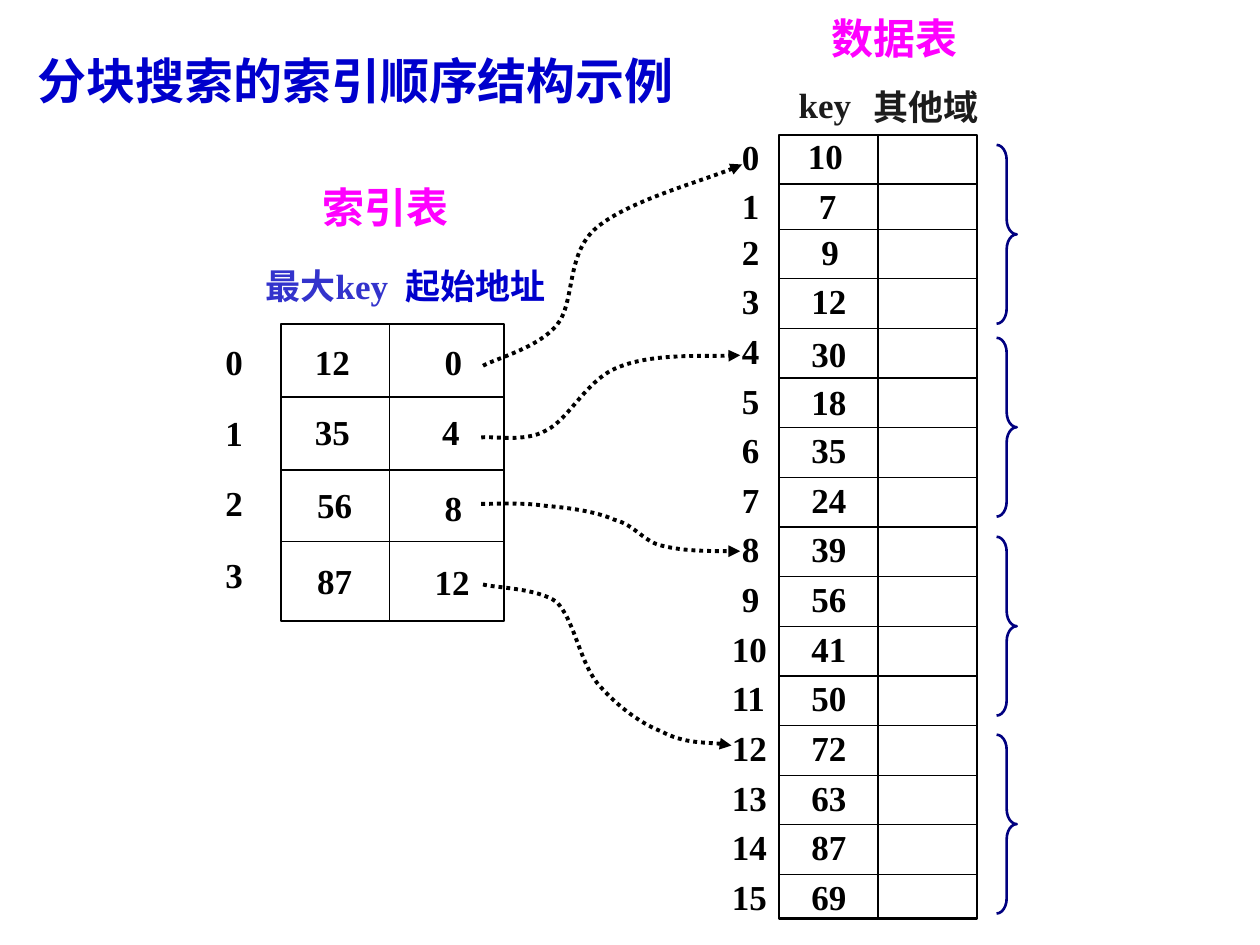
from lxml.etree import SubElement
from pptx import Presentation
from pptx.dml.color import RGBColor
from pptx.enum.dml import MSO_LINE_DASH_STYLE as Dash
from pptx.enum.shapes import MSO_CONNECTOR as Connector, MSO_SHAPE as Shape
from pptx.enum.text import MSO_ANCHOR as Anchor, MSO_AUTO_SIZE as AutoSize
from pptx.oxml.ns import qn
from pptx.util import Pt

BLACK, MAGENTA, BLUE, INDIGO, DARK, NAVY = (
    "000000", "FF00FF", "0000CC", "3333CC", "1C1C1C", "000080")
SERIF = "Times New Roman"

TITLE = "分块搜索的索引顺序结构示例"
DATA_HEADS = [("数据表", 468, 3.6, 96.5, 24, MAGENTA),
              ("key", 449.3, 43.9, 62.6, 20, DARK),
              ("其他域", 491.8, 45.4, 85, 20, DARK)]
INDEX_HEADS = [("索引表", 177.1, 100.1, 96.5, 24, MAGENTA),
               ("起始地址", 224.6, 147.6, 124.6, 20, BLUE),
               ("最大key", 144.7, 147.6, 124.6, 20, INDIGO)]

KEYS = [10, 7, 9, 12, 30, 18, 35, 24, 39, 56, 41, 50, 72, 63, 87, 69]
KEY_SHIFTS = {0: (-2, -0.6), 1: (4.3, 0), 2: (5.8, 0), 4: (0, 2), 5: (0, 1)}
DATA_LEFT, DATA_MIDDLE, DATA_RIGHT = 445, 501.8, 558.4
DATA_ROWS = [77, 105.1] + [131 + 28.36 * i for i in range(14)] + [524.9]

INDEX_LEFT, INDEX_MIDDLE, INDEX_RIGHT = 160.6, 222.5, 288
INDEX_ROWS = [185, 226.8, 268.6, 309.6, 355]
INDEX_CELLS = [
    [("0", 121.7, 190.8), ("12", 172.8, 190.8), ("0", 247, 190.8)],
    [("1", 121.7, 231.8), ("35", 172.8, 231.1), ("4", 245.5, 231.1)],
    [("2", 121.7, 271.4), ("56", 174.2, 272.9), ("8", 247, 274.3)],
    [("3", 121.7, 312.5), ("87", 174.2, 316.1), ("12", 241.2, 316.8)],
]

ARROWS = [
    [(276.5, 208.8), (283, 205.2), (307.4, 198.7), (318.2, 185.8), (329, 172.8),
     (323.3, 145.4), (340.6, 130.3), (358.6, 115.2), (406.8, 101.5), (424.1, 93.6)],
    [(275, 249.8), (280.8, 249.1), (299.5, 252.7), (312.5, 246.2), (325.4, 239.8),
     (334.8, 216.7), (352.8, 209.5), (371.5, 202.3), (408.2, 203.8), (422.6, 202.6)],
    [(275, 287.6), (280.8, 287.6), (298.1, 287.3), (311, 288.7), (323.3, 290.2),
     (339.8, 292.3), (351.4, 296.6), (362.9, 300.2), (367.9, 309.6), (379.4, 312.5),
     (391, 315.4), (413.3, 314.6), (422.6, 314.6)],
    [(275.8, 334.1), (283, 336.2), (306.7, 335.5), (317.5, 344.2), (328.3, 353.5),
     (331.2, 377.3), (341.3, 389.5), (351.4, 401.8), (365, 412.6), (378, 418.3),
     (391, 424.8), (410.4, 424.1), (418.3, 425.5)],
]
BRACE_TOPS = [82.8, 193, 306.7, 419.8]


def rgb(value):
    return RGBColor.from_string(value)


def set_line(sp, color, width):
    sp.line.color.rgb = rgb(color)
    sp.line.width = Pt(width)


def add_text(parent, text, x, y, w, size=20, color=BLACK, font=SERIF,
             h=None, anchor=Anchor.TOP):
    sp = parent.add_textbox(Pt(x), Pt(y), Pt(w), Pt(h or size * 1.2 + 7.2))
    tf = sp.text_frame
    for name, value in {"word_wrap": True, "vertical_anchor": anchor,
                        "auto_size": AutoSize.SHAPE_TO_FIT_TEXT}.items():
        setattr(tf, name, value)
    r = tf.paragraphs[0].add_run()
    r.text = text
    for name, value in {"name": font, "size": Pt(size), "bold": True}.items():
        setattr(r.font, name, value)
    r.font.color.rgb = rgb(color)


def add_outline(parent, kind, x, y, w, h, color, width):
    sp = parent.add_shape(kind, Pt(x), Pt(y), Pt(w), Pt(h))
    sp.shadow.inherit = False
    sp.fill.background()
    set_line(sp, color, width)
    return sp


def add_rule(parent, x1, y1, x2, y2):
    sp = parent.add_connector(Connector.STRAIGHT, Pt(x1), Pt(y1), Pt(x2), Pt(y2))
    set_line(sp, BLACK, 0.75)
    SubElement(sp._element.spPr, qn("a:effectLst"))


def add_grid(parent, left, middle, right, rows):
    top, bottom = rows[0], rows[-1]
    add_outline(parent, Shape.RECTANGLE, left, top, right - left, bottom - top,
                BLACK, 1.25)
    add_rule(parent, middle, top, middle, bottom)
    for y in rows[1:-1]:
        add_rule(parent, left, y, right, y)


def add_curved_arrow(parent, points):
    builder = parent.build_freeform(*points[0], scale=Pt(1))
    builder.add_line_segments(points[1:], close=False)
    sp = builder.convert_to_shape()
    sp.shadow.inherit = False
    sp.fill.background()
    set_line(sp, BLACK, 2.25)
    sp.line.dash_style = Dash.ROUND_DOT
    SubElement(sp.line._get_or_add_ln(), qn("a:tailEnd"), type="triangle")
    outline = sp._element.spPr.find(".//" + qn("a:path"))
    segments = outline.findall(qn("a:lnTo"))
    for i in range(0, len(segments), 3):
        curve = SubElement(outline, qn("a:cubicBezTo"))
        for segment in segments[i:i + 3]:
            curve.append(segment[0])
            outline.remove(segment)


def add_data_table(parent):
    add_grid(parent, DATA_LEFT, DATA_MIDDLE, DATA_RIGHT, DATA_ROWS)
    for head in DATA_HEADS:
        add_text(parent, *head)
    for i, (key, top) in enumerate(zip(KEYS, DATA_ROWS)):
        dx, dy = KEY_SHIFTS.get(i, (0, 0))
        add_text(parent, str(i), 416.9 if i < 10 else 411.1, top - 3, 42)
        add_text(parent, str(key), 456.5 + dx, top - 3 + dy, 39.6)


def add_index_table(parent):
    add_grid(parent, INDEX_LEFT, INDEX_MIDDLE, INDEX_RIGHT, INDEX_ROWS)
    for head in INDEX_HEADS:
        add_text(parent, *head)
    for row in INDEX_CELLS:
        for text, x, y in row:
            add_text(parent, text, x, y, 39.6)


def main():
    prs = Presentation()
    prs.slide_width, prs.slide_height = Pt(720), Pt(540)
    s = prs.slides.add_slide(prs.slide_layouts[6])
    add_text(s.shapes, TITLE, 14.4, 25.2, 425.5, 28, BLUE, "Cabin", 41, Anchor.BOTTOM)
    add_data_table(s.shapes.add_group_shape().shapes)
    add_index_table(s.shapes.add_group_shape().shapes)
    for points in ARROWS:
        add_curved_arrow(s.shapes, points)
    for top in BRACE_TOPS:
        sp = add_outline(s.shapes, Shape.RIGHT_BRACE, 569.5, top, 11.5, 102.2, NAVY, 1.5)
        sp.adjustments[0] = 0.75
    prs.save("out.pptx")


if __name__ == "__main__":
    main()
